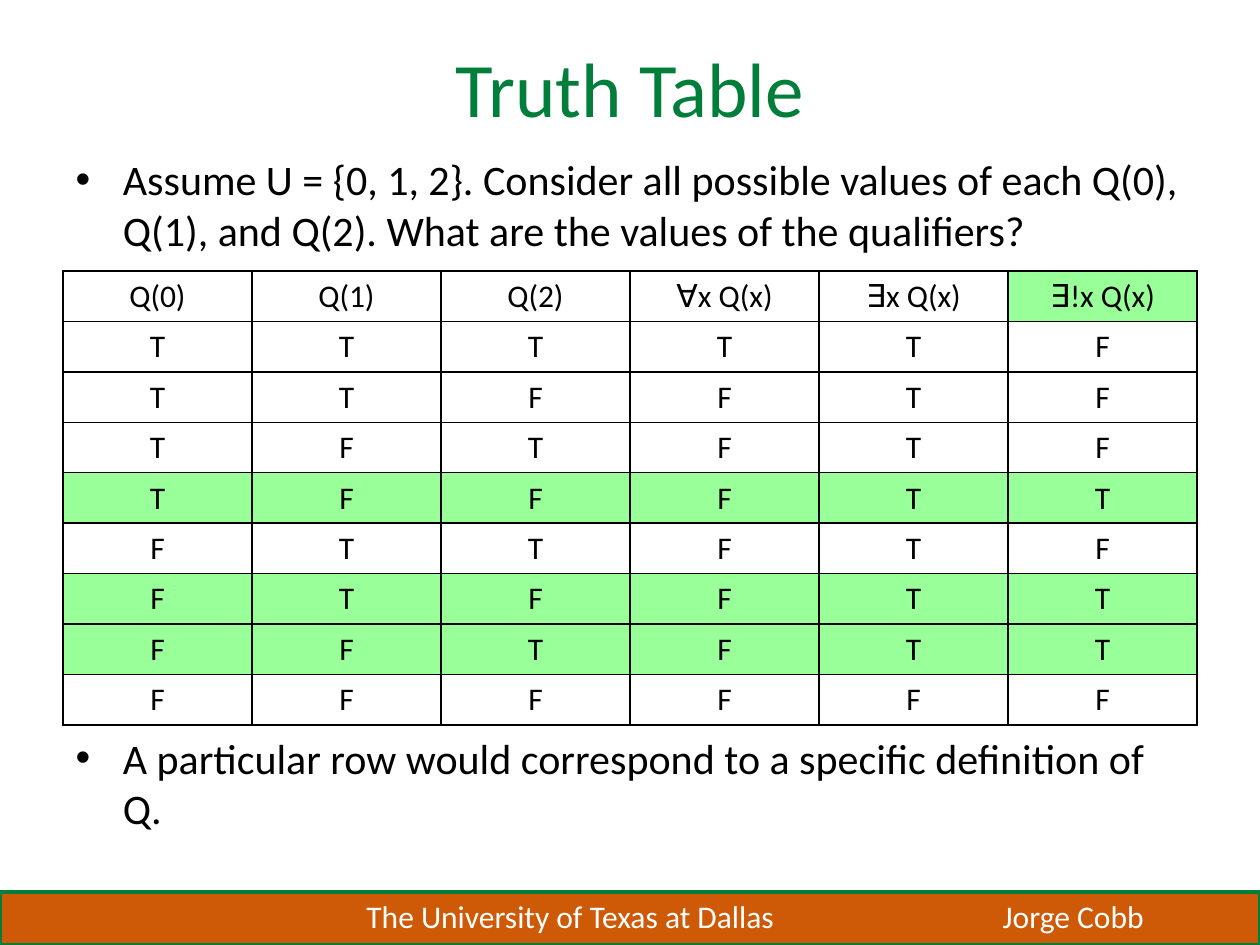
from itertools import product

from lxml.etree import SubElement
from pptx import Presentation
from pptx.dml.color import RGBColor
from pptx.enum.shapes import MSO_SHAPE as SHAPE
from pptx.enum.text import MSO_AUTO_SIZE as AUTO, PP_ALIGN as ALIGN
from pptx.oxml.ns import qn
from pptx.util import Inches, Pt

FONT = "Calibri"
GREEN, ORANGE, HIGHLIGHT = "007E3A", "CE5A08", "99FF99"
BLACK, WHITE = "000000", "FFFFFF"
HEADERS = ["Q(0)", "Q(1)", "Q(2)", "∀x Q(x)", "∃x Q(x)", "∃!x Q(x)"]
BULLETS = [
    "Assume U = {0, 1, 2}. Consider all possible values of each Q(0), "
    "Q(1), and Q(2). What are the values of the qualifiers?",
    "A particular row would correspond to a specific definition of Q.",
]


def rgb(color):
    """Return the colour for a hex string."""
    return RGBColor.from_string(color)


def place(sp, left, top, width, height):
    """Move and size a shape, in inches."""
    sp.left, sp.top = Inches(left), Inches(top)
    sp.width, sp.height = Inches(width), Inches(height)


def add_run(p, text, size, color):
    """Add a formatted run to a paragraph."""
    r = p.add_run()
    r.text = text
    r.font.name, r.font.size = FONT, Pt(size)
    r.font.color.rgb = rgb(color)


def add_footer_bar(s):
    """Draw the coloured bar along the bottom edge."""
    sp = s.shapes.add_shape(SHAPE.RECTANGLE, 0, Inches(7.08), Inches(10), Inches(0.42))
    sp.shadow.inherit = False
    sp.fill.solid()
    sp.fill.fore_color.rgb = rgb(ORANGE)
    sp.line.color.rgb = rgb(GREEN)
    sp.line.width = Pt(2)


def add_footer_text(s, text, left, width):
    """Add a one-line label on the footer bar."""
    sp = s.shapes.add_textbox(Inches(left), Inches(7.07), Inches(width), Inches(0.4))
    tf = sp.text_frame
    tf.word_wrap = False
    tf.auto_size = AUTO.SHAPE_TO_FIT_TEXT
    add_run(tf.paragraphs[0], text, 18, WHITE)


def fill_title(sp, text):
    """Place and fill the title placeholder."""
    place(sp, 0.5, 0.3, 9, 0.78)
    sp.text_frame.auto_size = AUTO.NONE
    p = sp.text_frame.paragraphs[0]
    p.alignment = ALIGN.CENTER
    add_run(p, text, 44, GREEN)


def fill_body(sp, bullets, gap):
    """Place the body placeholder and set its bullets apart by a gap in points."""
    place(sp, 0.5, 1.17, 9, 5.53)
    tf = sp.text_frame
    tf.auto_size = AUTO.NONE
    for i, text in enumerate(bullets):
        p = tf.add_paragraph() if i else tf.paragraphs[0]
        if i:
            p.space_before = Pt(gap)
        add_run(p, text, 24, BLACK)


def set_borders(cell):
    """Give a cell thin black borders on all sides."""
    tc_pr = cell._tc.get_or_add_tcPr()
    for side in ("a:lnL", "a:lnR", "a:lnT", "a:lnB"):
        ln = SubElement(tc_pr, qn(side), w=str(Pt(1)))
        fill = SubElement(ln, qn("a:solidFill"))
        SubElement(fill, qn("a:srgbClr"), val=BLACK)


def fill_cell(cell, text, color):
    """Write centred text in a bordered, filled cell."""
    set_borders(cell)
    cell.fill.solid()
    cell.fill.fore_color.rgb = rgb(color)
    p = cell.text_frame.paragraphs[0]
    p.alignment = ALIGN.CENTER
    add_run(p, text, 18, BLACK)


def truth_rows():
    """Return every assignment of Q followed by its three quantifier values."""
    return [(*q, all(q), any(q), sum(q) == 1) for q in product((True, False), repeat=3)]


def add_truth_table(s):
    """Add the table, highlighting the rows where exactly one Q holds."""
    rows = truth_rows()
    frame = s.shapes.add_table(len(rows) + 1, len(HEADERS), Inches(0.5), Inches(2.15),
                               Inches(9), Inches(3.6))
    table = frame.table
    table.first_row = table.horz_banding = False
    for c, text in enumerate(HEADERS):
        fill_cell(table.cell(0, c), text, HIGHLIGHT if text.startswith("∃!") else WHITE)
    for r, values in enumerate(rows, 1):
        color = HIGHLIGHT if values[-1] else WHITE
        for c, value in enumerate(values):
            fill_cell(table.cell(r, c), "T" if value else "F", color)


def main():
    """Build the slide and save it."""
    prs = Presentation()
    prs.slide_width, prs.slide_height = Inches(10), Inches(7.5)
    s = prs.slides.add_slide(prs.slide_layouts[1])
    add_footer_bar(s)
    add_footer_text(s, "The University of Texas at Dallas", 2.81, 3.47)
    add_footer_text(s, "Jorge Cobb", 7.86, 1.34)
    fill_title(s.shapes.title, "Truth Table")
    fill_body(s.placeholders[1], BULLETS, 273)
    add_truth_table(s)
    prs.save("out.pptx")


if __name__ == "__main__":
    main()
